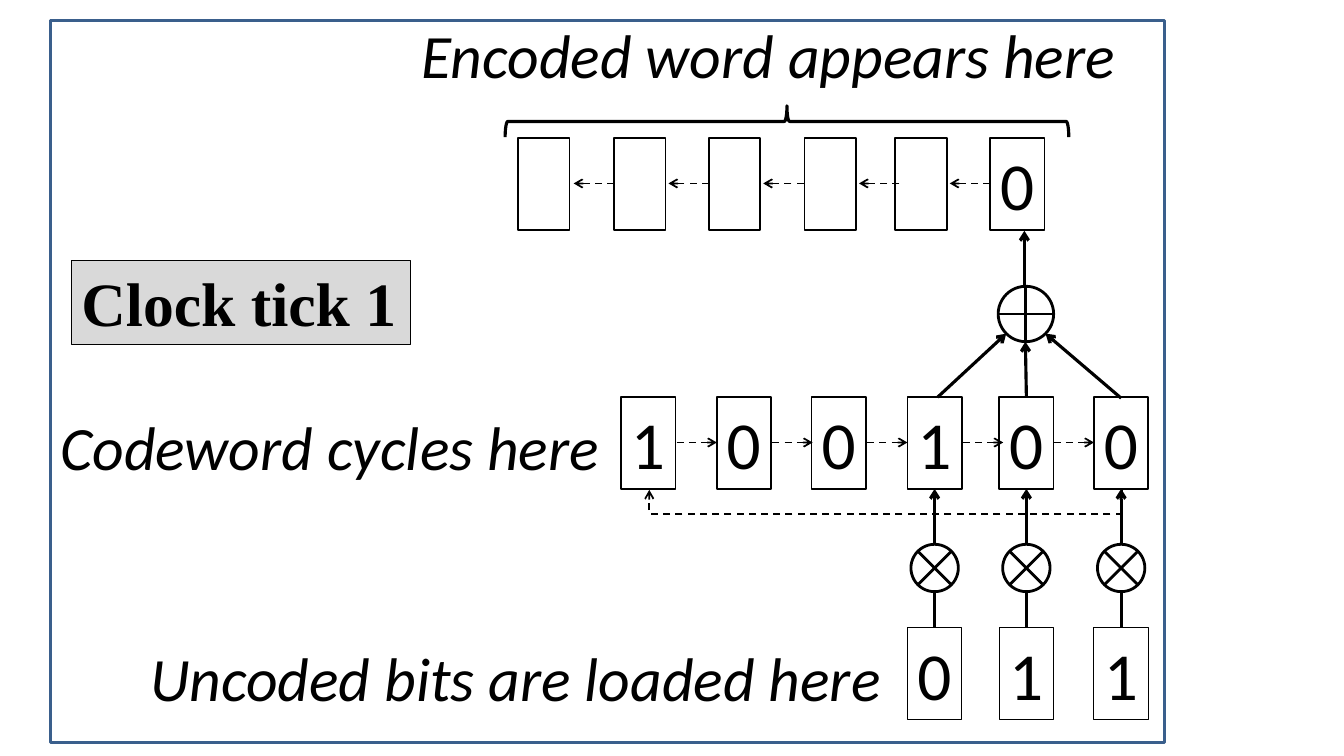
from dataclasses import dataclass

import pptx
import pptx.dml.color
import pptx.enum.dml
import pptx.enum.shapes
import pptx.enum.text
import pptx.oxml
import pptx.oxml.ns
import pptx.util
from pptx.util import Inches

COLORS = {"ink": "000000", "paper": "FFFFFF", "frame": "3A5F8C", "badge": "D9D9D9"}
KIND = pptx.enum.shapes.MSO_SHAPE
LINK = pptx.enum.shapes.MSO_CONNECTOR
CELL_WIDTH, CELL_HEIGHT, EMPTY_WIDTH = 0.54, 0.91, 0.51
STEP = 0.4


@dataclass(frozen=True)
class Register:
    """A row of bit cells."""
    top: float
    lefts: tuple[float, ...]
    bits: str
    weight: float


@dataclass(frozen=True)
class Caption:
    """An italic label beside a register."""
    left: float
    top: float
    width: float
    text: str


@dataclass(frozen=True)
class Arrow:
    """A straight arrow between two points."""
    start: tuple[float, float]
    end: tuple[float, float]
    weight: float = 2.25
    dashed: bool = False


ENCODED = Register(1.37, (5.14, 6.09, 7.03, 7.98, 8.88, 9.82), "     0", 1.25)
CODEWORD = Register(3.94, (6.16, 7.11, 8.05, 9.0, 9.91, 10.85), "100100", 1.25)
UNCODED = Register(6.23, CODEWORD.lefts[3:], "011", 0.75)
CAPTIONS = (
    Caption(4.08, 0.12, 7.16, "Encoded word appears here"),
    Caption(0.5, 4.01, 5.6, "Codeword cycles here"),
    Caption(1.39, 6.3, 7.53, "Uncoded bits are loaded here"),
)
SHIFT_LEFT = tuple(
    Arrow((x, 1.82), (x - STEP, 1.82), 1.25, True)
    for x in (6.09, 7.03, 7.97, 8.92, 9.82)
)
SHIFT_RIGHT = tuple(
    Arrow((x, 4.39), (x + STEP, 4.39), 1.25, True)
    for x in (6.71, 7.66, 8.6, 9.55, 10.45)
)
SUMS = (
    Arrow((9.3, 3.94), (9.98, 3.31)),
    Arrow((10.18, 3.94), (10.17, 3.39)),
    Arrow((11.12, 3.95), (10.37, 3.31)),
    Arrow((10.16, 2.85), (10.16, 2.29)),
)


def color(name: str) -> pptx.dml.color.RGBColor:
    """Look up a named colour."""
    return pptx.dml.color.RGBColor.from_string(COLORS[name])


def write(box, text: str, *, size: float, font: str = "Calibri",
          bold: bool = False, italic: bool = False) -> None:
    """Put one formatted line of text in a box that fits its text."""
    frame = box.text_frame
    frame.word_wrap = False
    frame.auto_size = pptx.enum.text.MSO_AUTO_SIZE.SHAPE_TO_FIT_TEXT
    frame.vertical_anchor = pptx.enum.text.MSO_ANCHOR.TOP
    para = frame.paragraphs[0]
    para.alignment = pptx.enum.text.PP_ALIGN.LEFT
    span = para.add_run()
    span.text = text
    span.font.name = font
    span.font.size = pptx.util.Pt(size)
    span.font.bold = bold
    span.font.italic = italic
    span.font.color.rgb = color("ink")


def draw_shape(page, kind, left: float, top: float, width: float, height: float, *,
               weight: float, line: str = "ink", fill: str | None = None):
    """Draw an outlined preset shape."""
    shape = page.shapes.add_shape(
        kind, Inches(left), Inches(top), Inches(width), Inches(height))
    shape.shadow.inherit = False
    if fill:
        shape.fill.solid()
        shape.fill.fore_color.rgb = color(fill)
    else:
        shape.fill.background()
    shape.line.color.rgb = color(line)
    shape.line.width = pptx.util.Pt(weight)
    return shape


def draw_arrow(page, arrow: Arrow, kind=LINK.STRAIGHT):
    """Draw a connector with an open head at its end."""
    link = page.shapes.add_connector(
        kind, *(Inches(value) for value in arrow.start + arrow.end))
    link.line.color.rgb = color("ink")
    link.line.width = pptx.util.Pt(arrow.weight)
    if arrow.dashed:
        link.line.dash_style = pptx.enum.dml.MSO_LINE.DASH
    properties = link._element.spPr
    head = pptx.oxml.ns.qn("a:tailEnd")
    properties.ln.append(properties.makeelement(head, {"type": "arrow"}))
    properties.append(properties.makeelement(pptx.oxml.ns.qn("a:effectLst"), {}))
    return link


def draw_feedback(page) -> None:
    """Draw the elbow that returns the last codeword bit to the first cell."""
    link = draw_arrow(page, Arrow((8.78, 2.51), (8.79, 7.2), 1.25, True), LINK.ELBOW)
    properties = link._element.spPr
    properties.xfrm.set("rot", "5400000")
    geometry = properties.find(pptx.oxml.ns.qn("a:prstGeom"))
    guides = geometry.find(pptx.oxml.ns.qn("a:avLst"))
    guides.append(guides.makeelement(
        pptx.oxml.ns.qn("a:gd"), {"name": "adj1", "fmla": "val 2500000"}))


def draw_register(page, register: Register) -> None:
    """Draw a row of cells with their bits."""
    for left, bit in zip(register.lefts, register.bits):
        filled = bit != " "
        cell = draw_shape(page, KIND.RECTANGLE, left, register.top,
                          CELL_WIDTH if filled else EMPTY_WIDTH, CELL_HEIGHT,
                          weight=register.weight)
        if filled:
            write(cell, bit, size=48)


def draw_caption(page, caption: Caption) -> None:
    """Draw a register's label."""
    box = page.shapes.add_textbox(Inches(caption.left), Inches(caption.top),
                                  Inches(caption.width), Inches(0.84))
    write(box, caption.text, size=44, italic=True)


def main() -> None:
    """Build the encoder slide."""
    deck = pptx.Presentation()
    deck.slide_width, deck.slide_height = Inches(13.33), Inches(7.5)
    page = deck.slides.add_slide(deck.slide_layouts[6])

    for register in (ENCODED, CODEWORD, UNCODED):
        draw_register(page, register)
    draw_feedback(page)
    for left in UNCODED.lefts:
        middle = left + CELL_WIDTH / 2
        draw_arrow(page, Arrow((middle, UNCODED.top), (middle, 4.85)))
        draw_shape(page, KIND.FLOWCHART_SUMMING_JUNCTION, middle - 0.235, 5.4,
                   0.47, 0.47, weight=2, fill="paper")
    draw_shape(page, KIND.FLOWCHART_OR, 9.9, 2.84, 0.55, 0.55, weight=2)
    for arrow in SHIFT_LEFT + SHIFT_RIGHT + SUMS:
        draw_arrow(page, arrow)
    for caption in CAPTIONS:
        draw_caption(page, caption)

    brace = draw_shape(page, KIND.LEFT_BRACE, 7.65, -1.59, 0.31, 5.59, weight=2.25)
    brace.rotation = 90
    draw_shape(page, KIND.RECTANGLE, 0.5, 0.2, 11.05, 7.17, weight=2, line="frame")
    badge = draw_shape(page, KIND.RECTANGLE, 0.71, 2.58, 3.36, 0.84,
                       weight=0.75, fill="badge")
    write(badge, "Clock tick 1", size=44, font="Times New Roman", bold=True)

    deck.save("out.pptx")


main()
